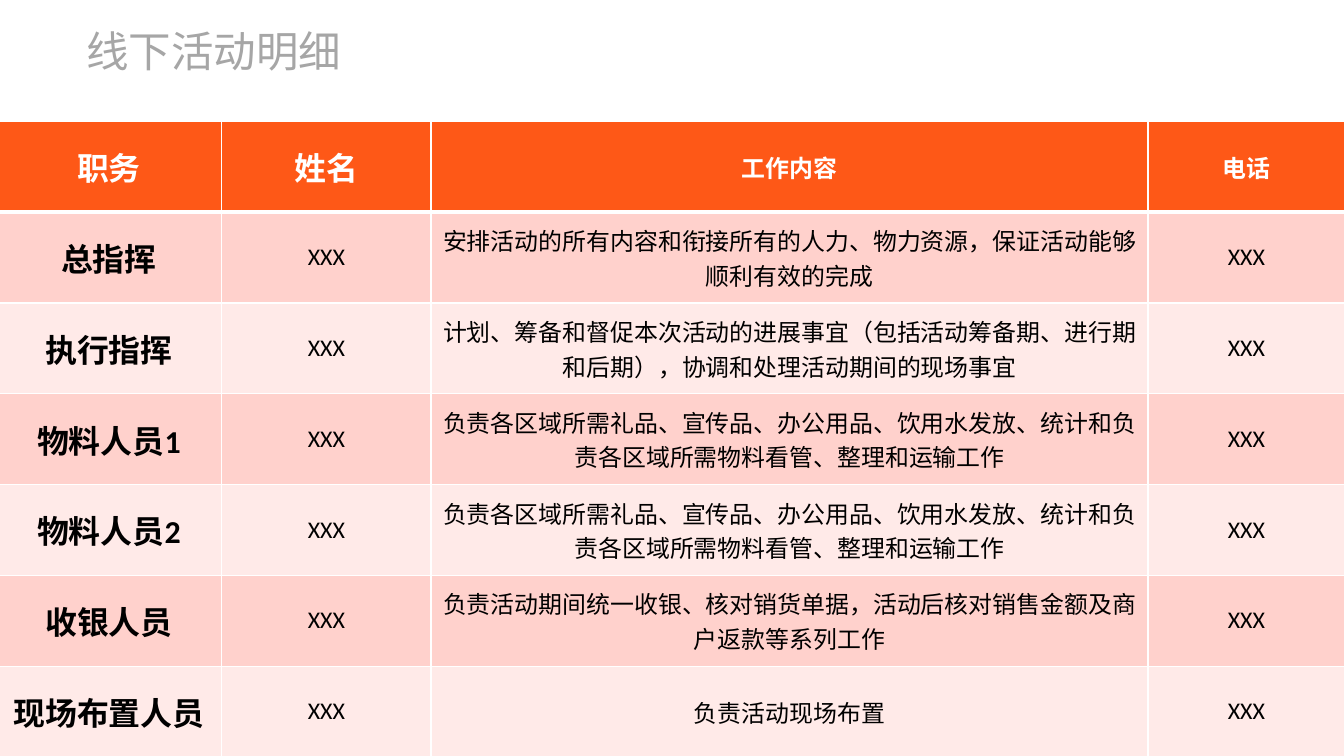
import pptx
import pptx.util
import pptx.dml.color
import pptx.enum.text
import pptx.oxml
import pptx.oxml.ns
from dataclasses import dataclass

TITLE = "线下活动明细"
HEADINGS = ("职务", "姓名", "工作内容", "电话")
SUPPLIES_DUTY = "负责各区域所需礼品、宣传品、办公用品、饮用水发放、统计和负责各区域所需物料看管、整理和运输工作"
STAFF = (
    ("总指挥", "安排活动的所有内容和衔接所有的人力、物力资源，保证活动能够顺利有效的完成"),
    ("执行指挥", "计划、筹备和督促本次活动的进展事宜（包括活动筹备期、进行期和后期），协调和处理活动期间的现场事宜"),
    ("物料人员1", SUPPLIES_DUTY),
    ("物料人员2", SUPPLIES_DUTY),
    ("收银人员", "负责活动期间统一收银、核对销货单据，活动后核对销售金额及商户返款等系列工作"),
    ("现场布置人员", "负责活动现场布置"),
)
UNKNOWN = "XXX"
ROWS = [HEADINGS] + [(post, UNKNOWN, duty, UNKNOWN) for post, duty in STAFF]

SLIDE_SIZE = (14.06, 7.91)
TITLE_BOX = (0.9, 0.26, 4.32, 0.54)
TABLE_LEFT, TABLE_TOP = -0.04, 1.27
COLUMN_WIDTHS = (2.36, 2.19, 7.5, 2.06)
ROW_HEIGHT = 0.95


@dataclass(frozen=True)
class Theme:
    title_font: str = "Arial"
    table_font: str = "Calibri"
    title_size: int = 32
    large: int = 24
    small: int = 18
    title: str = "A6A6A6"
    header: str = "FE5817"
    bands: tuple = ("FFD1CC", "FFEAE8")
    white: str = "FFFFFF"
    black: str = "000000"
    thin: int = 1
    thick: int = 3


THEME = Theme()
Inches = pptx.util.Inches


def style_text(frame, font_name, size, color, bold, align):
    frame.vertical_anchor = pptx.enum.text.MSO_ANCHOR.MIDDLE
    para = frame.paragraphs[0]
    para.alignment = align
    font = para.runs[0].font
    font.name, font.size, font.bold = font_name, pptx.util.Pt(size), bold
    font.color.rgb = pptx.dml.color.RGBColor.from_string(color)


def set_borders(cell, top, bottom):
    properties = cell._tc.get_or_add_tcPr()
    sides = (("L", THEME.thin), ("R", THEME.thin), ("T", top), ("B", bottom))
    for position, (side, points) in enumerate(sides):
        line = pptx.oxml.parse_xml(
            f'<a:ln{side} {pptx.oxml.ns.nsdecls("a")} w="{pptx.util.Pt(points)}">'
            f'<a:solidFill><a:srgbClr val="{THEME.white}"/></a:solidFill></a:ln{side}>'
        )
        properties.insert(position, line)


def add_title(page):
    box = page.shapes.title
    box.left, box.top, box.width, box.height = map(Inches, TITLE_BOX)
    frame = box.text_frame
    frame.text = TITLE
    frame.word_wrap = True
    frame.auto_size = pptx.enum.text.MSO_AUTO_SIZE.NONE
    frame.margin_left = frame.margin_right = frame.margin_top = frame.margin_bottom = 0
    style_text(frame, THEME.title_font, THEME.title_size, THEME.title, False,
               pptx.enum.text.PP_ALIGN.LEFT)


def add_staff_table(page):
    table = page.shapes.add_table(
        len(ROWS), len(HEADINGS), Inches(TABLE_LEFT), Inches(TABLE_TOP),
        Inches(sum(COLUMN_WIDTHS)), Inches(ROW_HEIGHT * len(ROWS)),
    ).table
    for column, width in zip(table.columns, COLUMN_WIDTHS):
        column.width = Inches(width)
    for r, texts in enumerate(ROWS):
        table.rows[r].height = Inches(ROW_HEIGHT)
        is_header = r == 0
        fill = THEME.header if is_header else THEME.bands[(r - 1) % 2]
        color = THEME.white if is_header else THEME.black
        for c, text in enumerate(texts):
            cell = table.cell(r, c)
            cell.text = text
            cell.fill.solid()
            cell.fill.fore_color.rgb = pptx.dml.color.RGBColor.from_string(fill)
            is_large = c == 0 or (is_header and c == 1)
            style_text(cell.text_frame, THEME.table_font,
                       THEME.large if is_large else THEME.small, color,
                       is_header or c == 0, pptx.enum.text.PP_ALIGN.CENTER)
            cell.vertical_anchor = pptx.enum.text.MSO_ANCHOR.MIDDLE
            set_borders(cell, THEME.thick if r == 1 else THEME.thin,
                        THEME.thick if is_header else THEME.thin)


def main():
    deck = pptx.Presentation()
    deck.slide_width, deck.slide_height = map(Inches, SLIDE_SIZE)
    page = deck.slides.add_slide(deck.slide_layouts.get_by_name("Title Only"))
    add_title(page)
    add_staff_table(page)
    deck.save("out.pptx")


if __name__ == "__main__":
    main()
